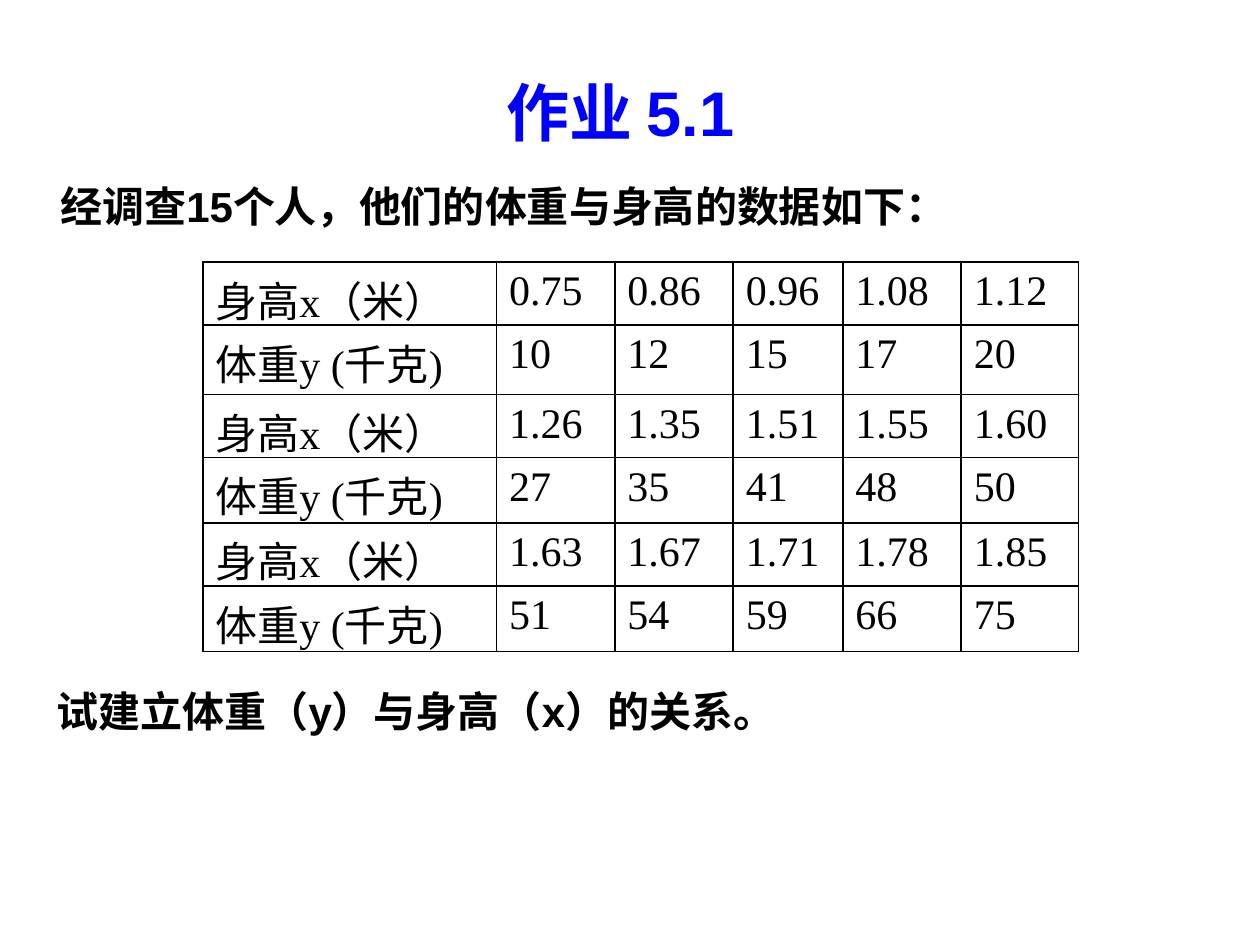
from lxml import etree
from pptx import Presentation
from pptx.dml.color import RGBColor
from pptx.enum.text import MSO_ANCHOR, PP_ALIGN
from pptx.oxml.ns import qn
from pptx.util import Inches, Pt

TOP = MSO_ANCHOR.TOP
LEFT, CENTER = PP_ALIGN.LEFT, PP_ALIGN.CENTER
BLACK, BLUE = "000000", "0000FF"


def write(frame, text, size, font_name, color=BLACK, bold=True, align=LEFT):
    frame.text = text
    frame.word_wrap = True
    paragraph = frame.paragraphs[0]
    paragraph.alignment = align
    paragraph.font.size = Pt(size)
    paragraph.font.name = font_name
    paragraph.font.bold = bold
    paragraph.font.color.rgb = RGBColor.from_string(color)
    return paragraph


def add_borders(cell, color=BLACK, width=1):
    properties = cell._tc.get_or_add_tcPr()
    for side in ("a:lnL", "a:lnR", "a:lnT", "a:lnB"):
        line = etree.SubElement(properties, qn(side), w=str(Pt(width)))
        fill = etree.SubElement(line, qn("a:solidFill"))
        etree.SubElement(fill, qn("a:srgbClr"), val=color)


prs = Presentation()
prs.slide_width, prs.slide_height = Inches(10), Inches(7.5)
slide = prs.slides.add_slide(prs.slide_layouts[5])

title = slide.shapes.title
title.left, title.top = Inches(3.47), Inches(0.53)
title.width, title.height = Inches(2.91), Inches(0.71)
title.text_frame.vertical_anchor = TOP
write(title.text_frame, "作业 5.1", 36, "Arial", BLUE, align=CENTER)

statements = [
    ("经调查15个人，他们的体重与身高的数据如下：", 0.38, 1.3, 8.98, 0.5, 1.2),
    ("试建立体重（y）与身高（x）的关系。", 0.35, 5.19, 8.58, 0.65, 1.5),
]
for text, left, top, width, height, spacing in statements:
    box = slide.shapes.add_textbox(Inches(left), Inches(top), Inches(width), Inches(height))
    write(box.text_frame, text, 24, "Arial").line_spacing = spacing

HEIGHT_LABEL, WEIGHT_LABEL = "身高x（米）", "体重y (千克)"
measurements = [
    (HEIGHT_LABEL, "0.75", "0.86", "0.96", "1.08", "1.12"),
    (WEIGHT_LABEL, "10", "12", "15", "17", "20"),
    (HEIGHT_LABEL, "1.26", "1.35", "1.51", "1.55", "1.60"),
    (WEIGHT_LABEL, "27", "35", "41", "48", "50"),
    (HEIGHT_LABEL, "1.63", "1.67", "1.71", "1.78", "1.85"),
    (WEIGHT_LABEL, "51", "54", "59", "66", "75"),
]
column_widths = [2.33, 0.94, 0.94, 0.87, 0.94, 0.93]
row_heights = [0.5, 0.55, 0.5, 0.52, 0.5, 0.52]

table = slide.shapes.add_table(
    len(row_heights), len(column_widths), Inches(1.61), Inches(2.08),
    Inches(sum(column_widths)), Inches(sum(row_heights))).table
table.first_row = table.horz_banding = False
for column, width in zip(table.columns, column_widths):
    column.width = Inches(width)
for row, height, values in zip(table.rows, row_heights, measurements):
    row.height = Inches(height)
    for cell, value in zip(row.cells, values):
        add_borders(cell)
        cell.fill.background()
        cell.vertical_anchor = TOP
        write(cell.text_frame, value, 24, "Times New Roman", bold=False)

prs.save("out.pptx")
